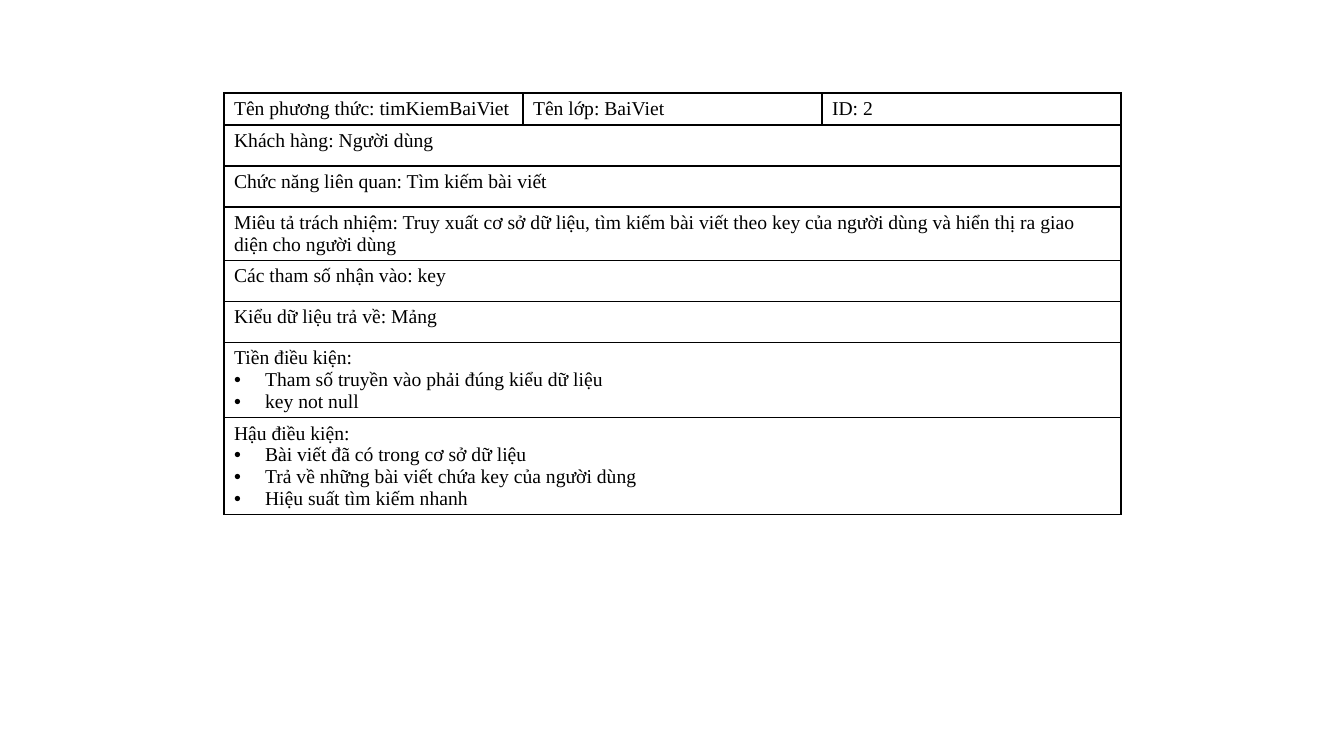
from lxml.etree import SubElement
from pptx import Presentation
from pptx.dml.color import RGBColor
from pptx.oxml.ns import qn
from pptx.util import Pt

# Content: one list per row, one list of paragraphs per cell
BULLET = "•"
ROWS = [
    [["Tên phương thức: timKiemBaiViet"], ["Tên lớp: BaiViet"], ["ID: 2"]],
    [["Khách hàng: Người dùng"]],
    [["Chức năng liên quan: Tìm kiếm bài viết"]],
    [["Miêu tả trách nhiệm: Truy xuất cơ sở dữ liệu, tìm kiếm bài viết theo key "
      "của người dùng và hiển thị ra giao diện cho người dùng"]],
    [["Các tham số nhận vào: key"]],
    [["Kiểu dữ liệu trả về: Mảng"]],
    [["Tiền điều kiện:",
      "• Tham số truyền vào phải đúng kiểu dữ liệu",
      "• key not null"]],
    [["Hậu điều kiện:",
      "• Bài viết đã có trong cơ sở dữ liệu",
      "• Trả về những bài viết chứa key của người dùng",
      "• Hiệu suất tìm kiếm nhanh"]],
]
ROW_HEIGHTS = [32, 41, 41, 53, 41, 41, 75, 97]
COLS, COL_WIDTH = 3, 299
LEFT, TOP = 224, 93
INDENT = 31

BLACK = RGBColor(0x00, 0x00, 0x00)
WHITE = RGBColor(0xFF, 0xFF, 0xFF)
FONT = "Times New Roman"


def px(n):
    return round(n * 914400 / 100.8)


def write(tf, lines, size=14, color=BLACK, font=FONT):
    for i, line in enumerate(lines):
        p = tf.paragraphs[0] if i == 0 else tf.add_paragraph()
        r = p.add_run()
        r.text = line.removeprefix(BULLET).strip()
        r.font.name, r.font.size, r.font.color.rgb = font, Pt(size), color
        if line.startswith(BULLET):
            pPr = p._p.get_or_add_pPr()
            pPr.set("marL", str(px(INDENT)))
            pPr.set("indent", str(-px(INDENT)))
            SubElement(pPr, qn("a:buFont"), typeface="Arial")
            SubElement(pPr, qn("a:buChar"), char=BULLET)


def add_borders(cell, color=BLACK, width=1):
    tcPr = cell._tc.get_or_add_tcPr()
    for i, side in enumerate(("lnL", "lnR", "lnT", "lnB")):
        ln = tcPr.makeelement(qn(f"a:{side}"), {"w": str(Pt(width))})
        fill = SubElement(ln, qn("a:solidFill"))
        SubElement(fill, qn("a:srgbClr"), val=str(color))
        tcPr.insert(i, ln)


prs = Presentation()
prs.slide_width, prs.slide_height = px(1344), px(756)
s = prs.slides.add_slide(prs.slide_layouts[6])

# Method specification table
table = s.shapes.add_table(len(ROWS), COLS, px(LEFT), px(TOP),
                           px(COLS * COL_WIDTH), px(sum(ROW_HEIGHTS))).table
table.first_row = table.horz_banding = False
for col in table.columns:
    col.width = px(COL_WIDTH)

for i, (texts, height) in enumerate(zip(ROWS, ROW_HEIGHTS)):
    table.rows[i].height = px(height)
    for j in range(COLS):
        cell = table.cell(i, j)
        cell.fill.solid()
        cell.fill.fore_color.rgb = WHITE
        add_borders(cell)
    # A row with a single text spans the full width
    if len(texts) == 1:
        table.cell(i, 0).merge(table.cell(i, COLS - 1))
    for j, lines in enumerate(texts):
        write(table.cell(i, j).text_frame, lines)

prs.save("out.pptx")
